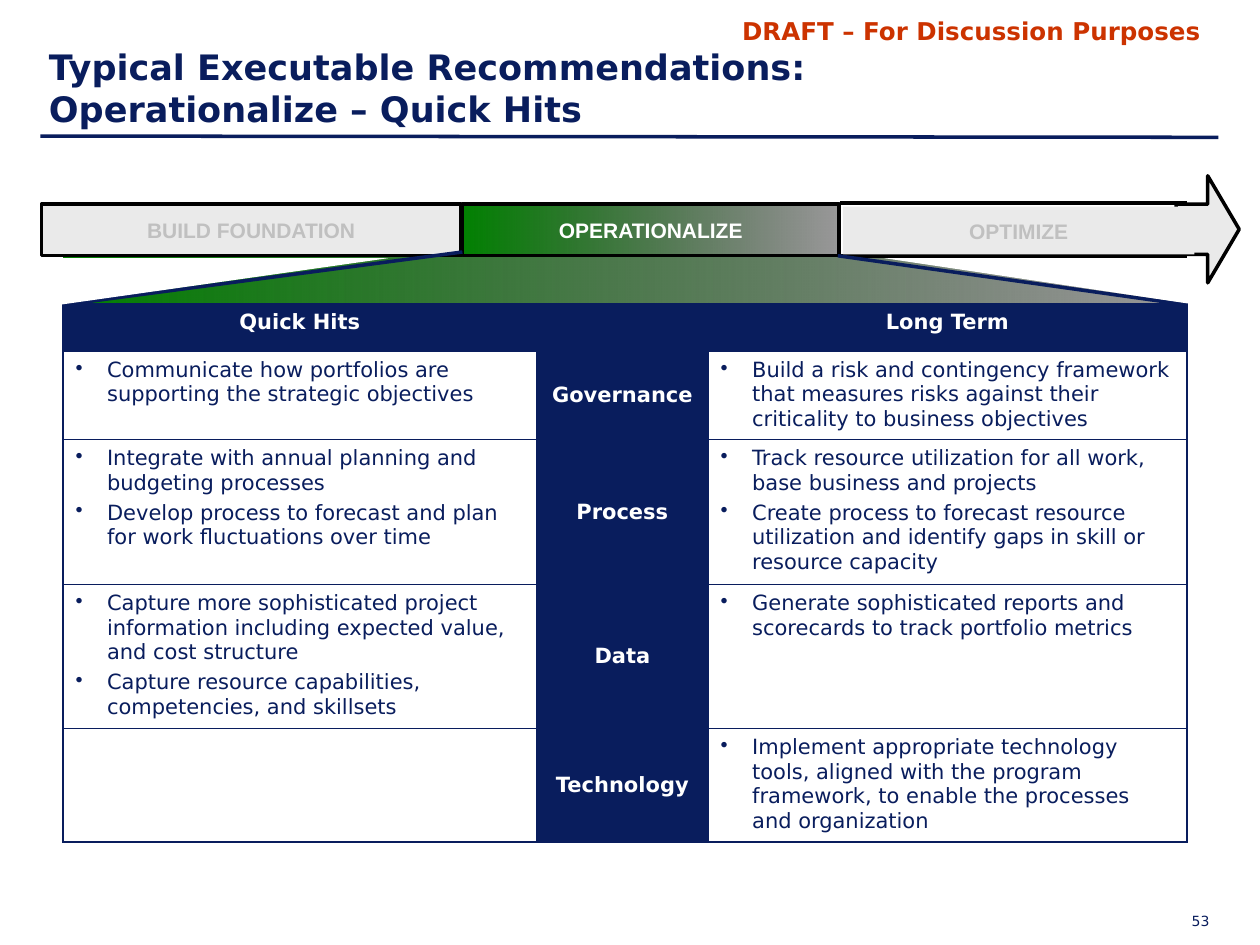
from lxml import etree
from pptx import Presentation
from pptx.dml.color import RGBColor
from pptx.enum.shapes import MSO_CONNECTOR, MSO_SHAPE
from pptx.enum.text import MSO_ANCHOR, PP_ALIGN
from pptx.oxml.ns import qn
from pptx.util import Inches, Pt

NAVY = RGBColor(0x09, 0x1D, 0x5D)
RED = RGBColor(0xCC, 0x33, 0x00)
GREEN = RGBColor(0x00, 0x80, 0x00)
BLACK = RGBColor(0x00, 0x00, 0x00)
WHITE = RGBColor(0xFF, 0xFF, 0xFF)
PALE = RGBColor(0xEA, 0xEA, 0xEA)
SILVER = RGBColor(0xC0, 0xC0, 0xC0)
BODY_FONT, STAGE_FONT = "DejaVu Sans", "Arial"
LEFT, CENTER, RIGHT = PP_ALIGN.LEFT, PP_ALIGN.CENTER, PP_ALIGN.RIGHT
TOP, MIDDLE, BOTTOM = MSO_ANCHOR.TOP, MSO_ANCHOR.MIDDLE, MSO_ANCHOR.BOTTOM
RECTANGLE, UP_ARROW = MSO_SHAPE.RECTANGLE, MSO_SHAPE.UP_ARROW
RIGHT_TRIANGLE = MSO_SHAPE.RIGHT_TRIANGLE
STRAIGHT = MSO_CONNECTOR.STRAIGHT

HEADERS = ["Quick Hits", "", "Long Term"]
ROWS = [
    (["Communicate how portfolios are supporting the strategic objectives"],
     "Governance",
     ["Build a risk and contingency framework that measures risks against their "
      "criticality to business objectives"]),
    (["Integrate with annual planning and budgeting processes",
      "Develop process to forecast and plan for work fluctuations over time"],
     "Process",
     ["Track resource utilization for all work, base business and projects",
      "Create process to forecast resource utilization and identify gaps in "
      "skill or resource capacity"]),
    (["Capture more sophisticated project information including expected value, "
      "and cost structure",
      "Capture resource capabilities, competencies, and skillsets"],
     "Data",
     ["Generate sophisticated reports and scorecards to track portfolio metrics"]),
    ([],
     "Technology",
     ["Implement appropriate technology tools, aligned with the program "
      "framework, to enable the processes and organization"]),
]
COLUMN_WIDTHS = [3.76, 1.36, 3.8]
ROW_HEIGHTS = [0.38, 0.7, 1.15, 1.14, 0.88]


def add_run(paragraph, text, size, color, bold=False, font=BODY_FONT):
    run = paragraph.add_run()
    run.text = text
    run.font.name, run.font.size, run.font.bold = font, Pt(size), bold
    run.font.color.rgb = color


def add_text(slide, box, lines, size, color, bold=False, align=LEFT,
             anchor=TOP, margins=(0.1, 0.05)):
    shape = slide.shapes.add_textbox(*map(Inches, box))
    frame = shape.text_frame
    frame.word_wrap, frame.vertical_anchor = True, anchor
    frame.margin_left = frame.margin_right = Inches(margins[0])
    frame.margin_top = frame.margin_bottom = Inches(margins[1])
    paragraph = frame.paragraphs[0]
    paragraph.alignment = align
    for index, line in enumerate(lines):
        if index:
            paragraph.add_line_break()
        add_run(paragraph, line, size, color, bold)


def add_line(slide, start, end, color):
    line = slide.shapes.add_connector(STRAIGHT, *map(Inches, start + end))
    line.line.color.rgb, line.line.width = color, Pt(2)
    etree.SubElement(line._element.spPr, qn("a:effectLst"))


def add_block(slide, kind, box, fill=None, outlined=False):
    """Add a shape; without a fill colour it fades from green to grey."""
    shape = slide.shapes.add_shape(kind, *map(Inches, box))
    shape.shadow.inherit = False
    if fill is None:
        shape.fill.gradient()
        shape.fill.gradient_angle = 180
        fade, solid = shape.fill.gradient_stops
        fade.color.rgb, fade.position = BLACK, 0
        solid.color.rgb, solid.position = GREEN, 1
        clear = shape._element.spPr.find(".//" + qn("a:srgbClr"))
        etree.SubElement(clear, qn("a:alpha"), val="40000")
    else:
        shape.fill.solid()
        shape.fill.fore_color.rgb = fill
    if outlined:
        shape.line.color.rgb, shape.line.width = BLACK, Pt(2)
    else:
        shape.line.fill.background()
    return shape


def add_stage(slide, box, label, color, fill=None, outlined=True):
    frame = add_block(slide, RECTANGLE, box, fill, outlined).text_frame
    frame.word_wrap, frame.vertical_anchor = True, MIDDLE
    frame.paragraphs[0].alignment = CENTER
    add_run(frame.paragraphs[0], label, 12, color, True, STAGE_FONT)


def add_frame(slide):
    """Page number, rule, draft mark and title."""
    add_text(slide, (8.6, 7.24, 1, 0.15), ["53"], 8, NAVY, align=RIGHT,
             margins=(0, 0))
    add_line(slide, (0.32, 1.08), (9.67, 1.09), NAVY)
    add_text(slide, (5.67, 0.08, 4.08, 0.34),
             ["DRAFT – For Discussion Purposes"], 14, RED, True, CENTER)
    add_text(slide, (0.29, 0.25, 9.43, 0.83),
             ["Typical Executable Recommendations:",
              "Operationalize – Quick Hits"], 20, NAVY, True, anchor=BOTTOM)


def add_stage_arrow(slide, left, top, height):
    """Three stages in a bar that ends in an arrowhead."""
    middle, last = left + 3.34, left + 6.34
    end, bottom = left + 9.09, top + height
    add_stage(slide, (middle, top, 2.99, height), "OPERATIONALIZE", WHITE)
    add_stage(slide, (left, top, 3.33, height), "BUILD FOUNDATION", SILVER, PALE)
    head = add_block(slide, UP_ARROW, (9.16, 1.57, 0.85, 0.5), PALE, True)
    head.rotation = 90
    head.adjustments[0], head.adjustments[1] = 0.47, 0.5
    for y in (bottom, top - 0.01):
        add_line(slide, (last, y), (end, y), BLACK)
    add_stage(slide, (last + 0.02, top + 0.02, 2.79, height - 0.03),
              "OPTIMIZE", SILVER, PALE, outlined=False)


def add_zoom_edges(slide, top, height):
    """Cut the gradient band to a funnel between the stage and the table."""
    bottom = top + height
    add_line(slide, (3.67, 2), (0.5, bottom), NAVY)
    add_line(slide, (6.65, 2.03), (9.42, bottom), NAVY)
    for left, width, flips in ((7.02, 2.48, ("flipH", "flipV")),
                               (0.47, 2.61, ("flipV",))):
        mask = add_block(slide, RIGHT_TRIANGLE, (left, top, width, height), WHITE)
        for flip in flips:
            mask._element.spPr.xfrm.set(flip, "1")


def style_cell(cell, fill, outer_sides):
    properties = cell._tc.get_or_add_tcPr()
    for side in "LRTB":
        width = Pt(1.08 if side in outer_sides else 0.45)
        border = etree.SubElement(properties, qn("a:ln" + side), w=str(width))
        solid = etree.SubElement(border, qn("a:solidFill"))
        etree.SubElement(solid, qn("a:srgbClr"), val=str(NAVY))
    cell.fill.solid()
    cell.fill.fore_color.rgb = fill


def add_bullet(paragraph):
    properties = paragraph._p.get_or_add_pPr()
    properties.set("marL", str(Inches(0.25)))
    properties.set("indent", str(-Inches(0.25)))
    color = etree.SubElement(properties, qn("a:buClr"))
    etree.SubElement(color, qn("a:srgbClr"), val=str(NAVY))
    etree.SubElement(properties, qn("a:buChar"), char="•")


def fill_cell(cell, texts, is_bullet):
    frame = cell.text_frame
    for index, text in enumerate(texts or [""]):
        paragraph = frame.add_paragraph() if index else frame.paragraphs[0]
        paragraph.space_after = Pt(3)
        if not text:
            paragraph.font.size = Pt(12)
            continue
        if is_bullet:
            add_bullet(paragraph)
        else:
            paragraph.alignment = CENTER
        add_run(paragraph, text, 12, NAVY if is_bullet else WHITE, not is_bullet)


def add_recommendations(slide, left, top):
    box = (left, top, sum(COLUMN_WIDTHS), sum(ROW_HEIGHTS))
    table = slide.shapes.add_table(len(ROW_HEIGHTS), len(COLUMN_WIDTHS),
                                   *map(Inches, box)).table
    table.first_row = table.horz_banding = False
    for column, width in zip(table.columns, COLUMN_WIDTHS):
        column.width = Inches(width)
    content = [[[header] for header in HEADERS]]
    content += [[quick, [topic], long_term] for quick, topic, long_term in ROWS]
    for r, (height, texts_in_row) in enumerate(zip(ROW_HEIGHTS, content)):
        table.rows[r].height = Inches(height)
        for c, texts in enumerate(texts_in_row):
            cell = table.cell(r, c)
            is_bullet = r > 0 and c != 1
            outer_sides = {0: "L", 2: "R"}.get(c, "") + {0: "T", 4: "B"}.get(r, "")
            style_cell(cell, WHITE if is_bullet else NAVY, outer_sides)
            cell.vertical_anchor = MIDDLE if r and c == 1 else TOP
            fill_cell(cell, texts, is_bullet)


def main():
    presentation = Presentation()
    presentation.slide_width, presentation.slide_height = Inches(10), Inches(7.5)
    slide = presentation.slides.add_slide(presentation.slide_layouts[6])
    add_block(slide, RECTANGLE, (0.5, 2.03, 8.92, 0.58))  # gradient band
    add_frame(slide)
    add_stage_arrow(slide, 0.33, 1.62, 0.41)
    add_recommendations(slide, 0.5, 2.41)
    add_zoom_edges(slide, 2.05, 0.37)
    presentation.save("out.pptx")


if __name__ == "__main__":
    main()
